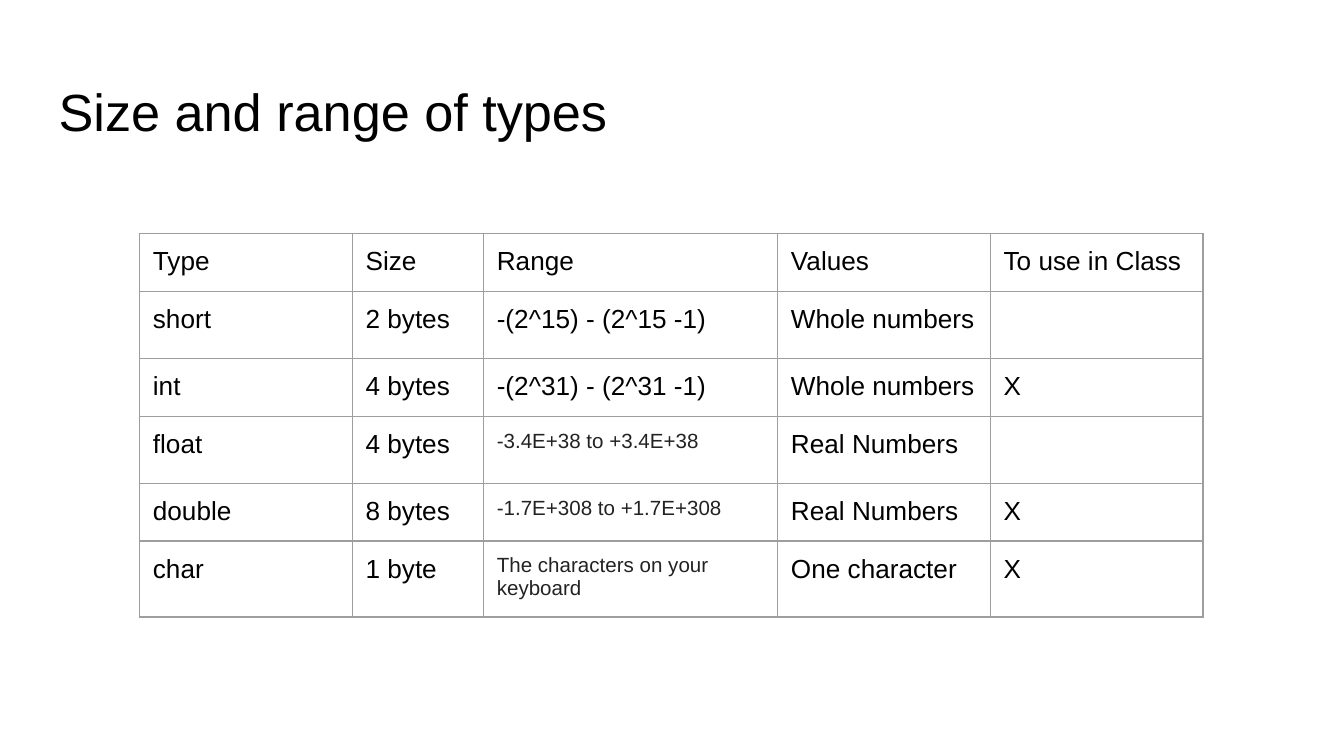
from dataclasses import dataclass

from lxml import etree
from pptx import Presentation
from pptx.dml.color import RGBColor
from pptx.enum.text import MSO_ANCHOR
from pptx.oxml.ns import qn
from pptx.util import Cm, Pt

TOP = MSO_ANCHOR.TOP
BLANK_LAYOUT = 6


@dataclass(frozen=True)
class Theme:
    """Colours, font and type sizes of the slide."""
    font: str = "Arial"
    ink: str = "000000"
    soft_ink: str = "222222"
    border: str = "9E9E9E"
    border_width: float = 0.75
    title_size: int = 28
    body_size: int = 14
    small_size: int = 11


THEME = Theme()
INSET = Cm(0.25)
COLUMN_WIDTHS = [4.02, 2.48, 5.56, 4.02, 4.02]
ROW_HEIGHTS = [1.06, 1.21, 1.06, 1.21, 1.06, 1.38]
RANGE_COLUMN = 2
FIRST_SMALL_ROW = 3
TYPE_ROWS = [
    ["Type", "Size", "Range", "Values", "To use in Class"],
    ["short", "2 bytes", "-(2^15) - (2^15 -1)", "Whole numbers", ""],
    ["int", "4 bytes", "-(2^31) - (2^31 -1)", "Whole numbers", "X"],
    ["float", "4 bytes", "-3.4E+38 to +3.4E+38", "Real Numbers", ""],
    ["double", "8 bytes", "-1.7E+308 to +1.7E+308", "Real Numbers", "X"],
    ["char", "1 byte", "The characters on your keyboard", "One character", "X"],
]


def write_text(text_frame, text, size=THEME.body_size, color=THEME.ink):
    """Write one formatted run into the first paragraph of a text frame."""
    run = text_frame.paragraphs[0].add_run()
    run.text = text
    run.font.name = THEME.font
    run.font.size = Pt(size)
    run.font.color.rgb = RGBColor.from_string(color)


def set_insets(holder):
    """Give a text frame or a cell the same inset on all sides."""
    holder.margin_left = holder.margin_right = INSET
    holder.margin_top = holder.margin_bottom = INSET
    holder.vertical_anchor = TOP


def set_borders(cell):
    """Draw a thin solid line on each side of a cell."""
    properties = cell._tc.get_or_add_tcPr()
    for position, side in enumerate(("lnL", "lnR", "lnT", "lnB")):
        line = etree.Element(qn(f"a:{side}"), w=str(Pt(THEME.border_width)))
        fill = etree.SubElement(line, qn("a:solidFill"))
        etree.SubElement(fill, qn("a:srgbClr"), val=THEME.border)
        properties.insert(position, line)


def add_title(slide, text):
    """Add the slide title."""
    shape = slide.shapes.add_textbox(Cm(0.86), Cm(1.24), Cm(23.67), Cm(1.6))
    text_frame = shape.text_frame
    text_frame.word_wrap = True
    set_insets(text_frame)
    write_text(text_frame, text, size=THEME.title_size)


def add_type_table(slide):
    """Add the table of data types."""
    shape = slide.shapes.add_table(
        len(ROW_HEIGHTS), len(COLUMN_WIDTHS), Cm(2.64), Cm(4.42),
        Cm(sum(COLUMN_WIDTHS)), Cm(sum(ROW_HEIGHTS)))
    table = shape.table
    table.first_row = table.horz_banding = False
    for column, width in zip(table.columns, COLUMN_WIDTHS):
        column.width = Cm(width)
    for row, height in zip(table.rows, ROW_HEIGHTS):
        row.height = Cm(height)
    for row_index, texts in enumerate(TYPE_ROWS):
        for column_index, text in enumerate(texts):
            cell = table.cell(row_index, column_index)
            set_insets(cell)
            cell.fill.background()
            set_borders(cell)
            if not text:
                continue
            if column_index == RANGE_COLUMN and row_index >= FIRST_SMALL_ROW:
                write_text(cell.text_frame, text, size=THEME.small_size,
                           color=THEME.soft_ink)
            else:
                write_text(cell.text_frame, text)


def main():
    """Build and save the slide."""
    presentation = Presentation()
    presentation.slide_width = Cm(25.4)
    presentation.slide_height = Cm(14.29)
    slide = presentation.slides.add_slide(
        presentation.slide_layouts[BLANK_LAYOUT])
    add_title(slide, "Size and range of types")
    add_type_table(slide)
    presentation.save("out.pptx")


main()
